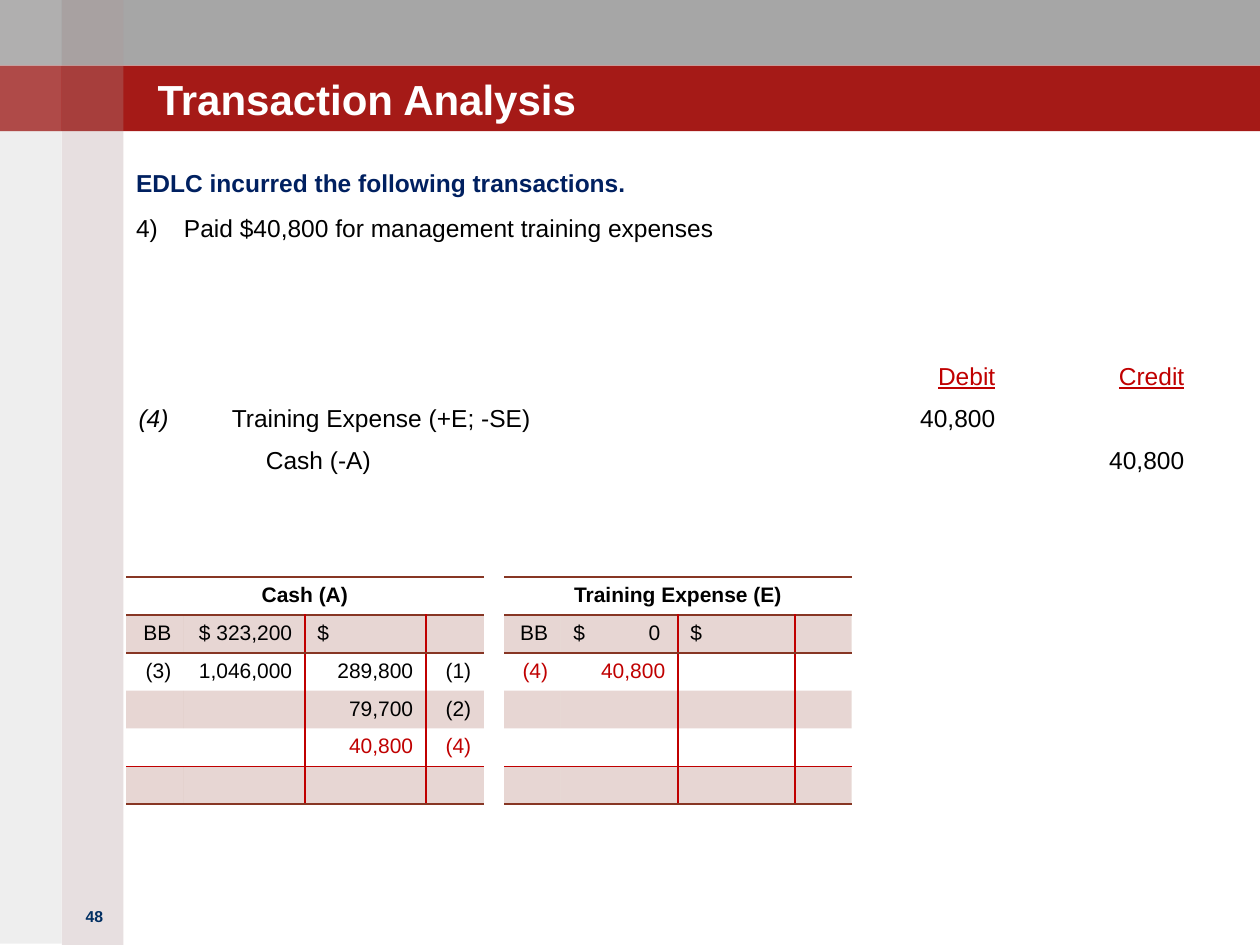
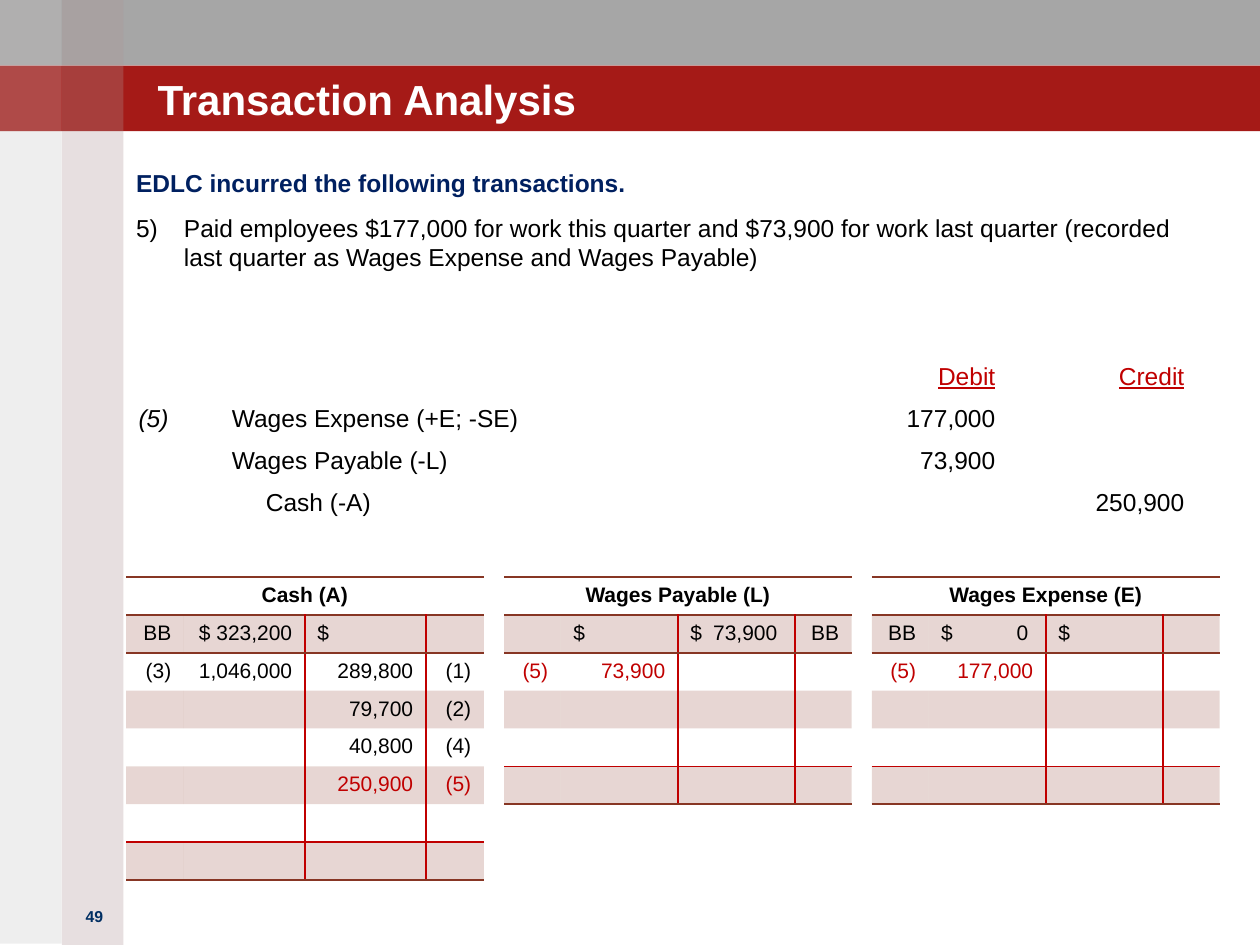
from lxml import etree
from pptx import Presentation
from pptx.dml.color import RGBColor
from pptx.enum.shapes import MSO_SHAPE
from pptx.enum.text import MSO_ANCHOR, PP_ALIGN
from pptx.oxml.ns import qn
from pptx.util import Inches, Pt

RECT = MSO_SHAPE.RECTANGLE
LEFT, CENTER, RIGHT = PP_ALIGN.LEFT, PP_ALIGN.CENTER, PP_ALIGN.RIGHT
TOP, BOTTOM = MSO_ANCHOR.TOP, MSO_ANCHOR.BOTTOM
COLORS = {
    "grey": "A6A6A6", "crimson": "A51A17", "rose": "A08284", "stone": "938F8F",
    "white": "FFFFFF", "black": "000000", "navy": "002060", "number": "002E62",
    "red": "C00000", "brown": "873624",
}
FONT = "Arial"
NO_STYLE = "{2D5ABB26-0587-4C30-8999-92F81FD0307C}"
STRIP = 0.49  # width of each vertical strip at the left edge
BAND = 0.52   # height of each horizontal band at the top
DOLLAR_TAB = 0.69

# left, top, width, height, colour, opacity in percent
BANDS = [
    (0, 0, 10, BAND, "grey", 100),
    (0, BAND, 10, BAND, "crimson", 100),
    (STRIP, 0, STRIP, 7.5, "rose", 25),
    (0, 0, STRIP, 7.49, "stone", 15),
]
for top in (0, BAND):
    BANDS += [(STRIP, top, STRIP, BAND, "white", 5), (0, top, STRIP, BAND, "white", 15)]

CASH_ROWS = [
    ("BB", "$ 323,200", "$", ""),
    ("(3)", "1,046,000", "289,800", "(1)"),
    ("", "", "79,700", "(2)"),
    ("", "", "40,800", "(4)"),
]
# Each account: name, left, outer and inner column width, row count, rows
SLIDES = [
    {
        "page": 48, "entry": 4,
        "event": "Paid $40,800 for management training expenses",
        "journal": [("Training Expense (+E; -SE)", "40,800", ""),
                    ("Cash (-A)", "", "40,800")],
        "accounts": [
            ("Training Expense (E)", 4, 0.45, 0.93, 6,
             [("BB", "$\t0", "$", ""), ("(4)", "40,800", "", "")]),
            ("Cash (A)", 1, 0.46, 0.96, 6, CASH_ROWS),
        ],
    },
    {
        "page": 49, "entry": 5,
        "event": "Paid employees $177,000 for work this quarter and $73,900 for work "
                 "last quarter (recorded last quarter as Wages Expense and Wages Payable)",
        "journal": [("Wages Expense (+E; -SE)", "177,000", ""),
                    ("Wages Payable (-L)", "73,900", ""),
                    ("Cash (-A)", "", "250,900")],
        "accounts": [
            ("Wages Payable (L)", 4, 0.45, 0.93, 6,
             [("", "$", "$\t73,900", "BB"), ("(5)", "73,900", "", "")]),
            ("Wages Expense (E)", 6.92, 0.45, 0.93, 6,
             [("BB", "$\t0", "$", ""), ("(5)", "177,000", "", "")]),
            ("Cash (A)", 1, 0.46, 0.96, 8,
             CASH_ROWS + [("", "", "250,900", "(5)")]),
        ],
    },
]


def set_fill(target, color, opacity=100):
    """Fill a shape or table cell, with opacity in percent."""
    target.fill.solid()
    target.fill.fore_color.rgb = RGBColor.from_string(COLORS[color])
    if opacity < 100:
        holder = target._tc if hasattr(target, "_tc") else target._element
        for clr in holder.iter(qn("a:srgbClr")):
            etree.SubElement(clr, qn("a:alpha"), val=str(opacity * 1000))


def write(p, text, size=14, color="black", align=LEFT, bold=False, italic=False,
          underline=False, indent=0, tab=None):
    p.alignment = align
    pPr = p._p.get_or_add_pPr()
    if indent:
        pPr.set("marL", str(Inches(indent)))
    if tab:
        tabs = etree.SubElement(pPr, qn("a:tabLst"))
        etree.SubElement(tabs, qn("a:tab"), pos=str(Inches(tab)), algn="r")
    if not text:  # keeps empty cells as low as filled ones
        etree.SubElement(p._p, qn("a:endParaRPr"), sz=str(size * 100))
        return
    r = p.add_run()
    r.text = text
    r.font.name, r.font.size = FONT, Pt(size)
    r.font.bold, r.font.italic, r.font.underline = bold, italic, underline
    r.font.color.rgb = RGBColor.from_string(COLORS[color])


prs = Presentation()
prs.slide_width, prs.slide_height = Inches(10), Inches(7.5)

for data in SLIDES:
    s = prs.slides.add_slide(prs.slide_layouts[6])
    ref = f"({data['entry']})"

    for *box, color, opacity in BANDS:
        sp = s.shapes.add_shape(RECT, *map(Inches, box))
        sp.shadow.inherit = False
        sp.line.fill.background()
        set_fill(sp, color, opacity)

    # Slide number, title and body
    frames = []
    for box, margin, anchor in [
        ((0.5, 7.15, 0.5, 0.3), 0.05, TOP),
        ((1.25, 0.31, 7.92, 0.67), 0, BOTTOM),
        ((1.08, 1.33, 8.42, 1.2), 0, TOP),
    ]:
        tf = s.shapes.add_textbox(*map(Inches, box)).text_frame
        tf.word_wrap = True
        tf.vertical_anchor = anchor
        tf.margin_left = tf.margin_right = tf.margin_top = tf.margin_bottom = Inches(margin)
        frames.append(tf)
    number, title, body = frames
    write(number.paragraphs[0], str(data["page"]), size=9, color="number",
          align=CENTER, bold=True)
    write(title.paragraphs[0], "Transaction Analysis", size=24, color="white", bold=True)
    heading, event = body.paragraphs[0], body.add_paragraph()
    for p in (heading, event):
        p.space_before, p.space_after = Pt(3), Pt(6)
    write(heading, "EDLC incurred the following transactions.", color="navy", bold=True)
    write(event, data["event"], indent=0.38)
    pPr = event._p.get_or_add_pPr()
    pPr.set("indent", str(Inches(-0.38)))
    etree.SubElement(pPr, qn("a:buFont"), typeface=FONT)
    etree.SubElement(pPr, qn("a:buAutoNum"), type="arabicParenR",
                     startAt=str(data["entry"]))

    # Journal entry
    journal = [("", "", "Debit", "Credit")]
    for i, line in enumerate(data["journal"]):
        journal.append((ref if i == 0 else "", *line))
    height = 0.32
    table = s.shapes.add_table(len(journal), 4, Inches(1), Inches(2.83), Inches(8.5),
                               Inches(height * len(journal))).table
    table._tbl.tblPr[0].text = NO_STYLE
    table.first_row = table.horz_banding = False
    for col, width in zip(table.columns, (0.74, 5.01, 1.25, 1.5)):
        col.width = Inches(width)
    for i, values in enumerate(journal):
        table.rows[i].height = Inches(height)
        for j, text in enumerate(values):
            cell = table.cell(i, j)
            cell.fill.background()
            write(cell.text_frame.paragraphs[0], text,
                  color="black" if i else "red", underline=i == 0,
                  align=RIGHT if j > 1 else LEFT, italic=j == 0,
                  indent=0.27 if j == 1 and values[3] else 0)

    # T-accounts
    for name, left, outer, inner, count, entries in data["accounts"]:
        height = 0.28
        widths = (outer, inner, inner, outer)
        table = s.shapes.add_table(count, 4, Inches(left), Inches(4.58),
                                   Inches(sum(widths)), Inches(height * count)).table
        table._tbl.tblPr[0].text = NO_STYLE
        table.first_row = table.horz_banding = False
        for col, width in zip(table.columns, widths):
            col.width = Inches(width)
        blank = ("",) * 4
        rows = [(name, "", "", ""), *entries]
        rows += [blank] * (count - len(rows))
        for i, values in enumerate(rows):
            table.rows[i].height = Inches(height)
            for j, text in enumerate(values):
                cell = table.cell(i, j)
                if i % 2:
                    set_fill(cell, "brown", 20)
                else:
                    cell.fill.background()
                is_new = values[0 if j < 2 else 3] == ref
                if i == 0:
                    align = CENTER
                else:
                    align = LEFT if text == "$" or "\t" in text else RIGHT
                write(cell.text_frame.paragraphs[0], text, size=12, bold=i == 0,
                      color="red" if is_new else "black", align=align,
                      tab=DOLLAR_TAB if "\t" in text else None)

                borders = {}
                if i and j > 1:
                    borders["lnL"] = "red"
                if i and j in (1, 2):
                    borders["lnR"] = "red"
                if i in (0, count - 1):
                    borders["lnT"] = "red" if i else "brown"
                    borders["lnB"] = "brown"
                elif i == 1:
                    borders["lnT"] = "brown"
                elif i == count - 2:
                    borders["lnB"] = "red"
                tcPr = cell._tc.get_or_add_tcPr()
                for k, (side, color) in enumerate(borders.items()):
                    ln = etree.Element(qn(f"a:{side}"), w=str(Pt(1)))
                    fill = etree.SubElement(ln, qn("a:solidFill"))
                    etree.SubElement(fill, qn("a:srgbClr"), val=COLORS[color])
                    tcPr.insert(k, ln)
        table.cell(0, 0).merge(table.cell(0, 3))

prs.save("out.pptx")
